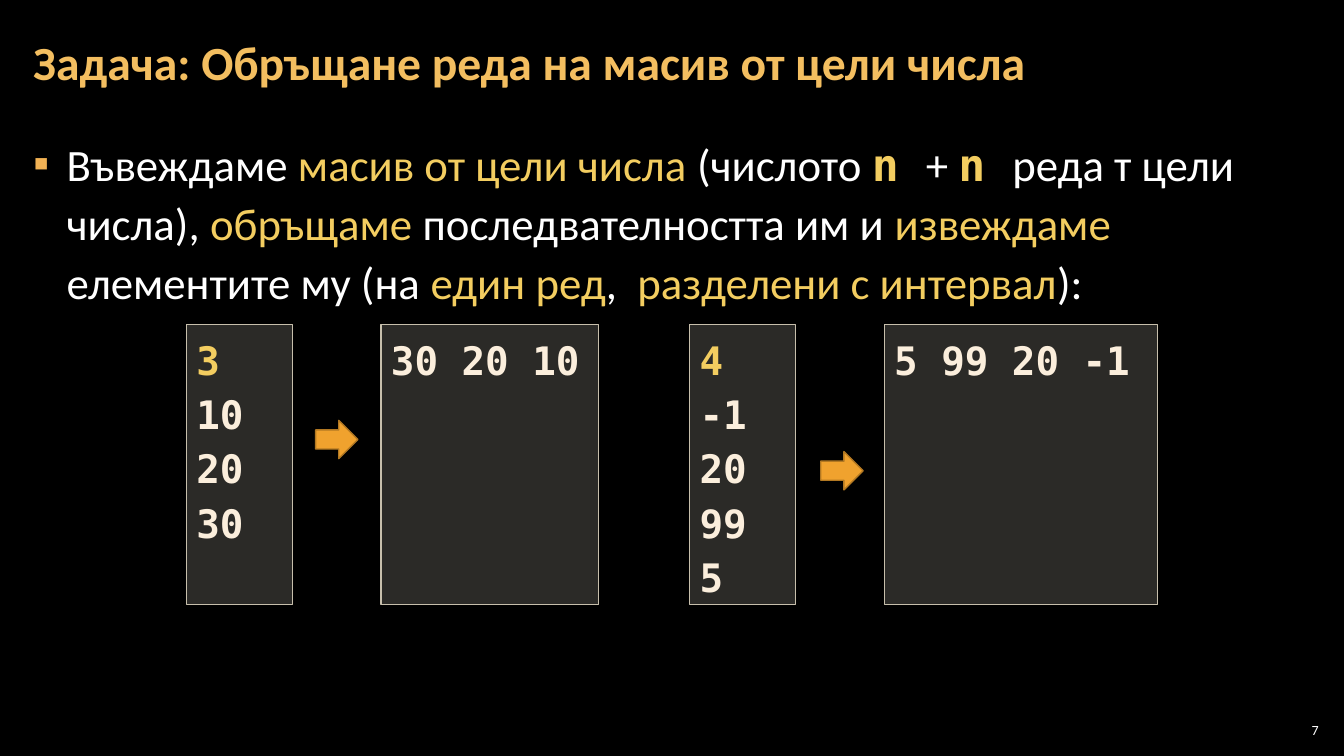
from lxml import etree
from pptx import Presentation
from pptx.dml.color import RGBColor
from pptx.enum.shapes import MSO_SHAPE
from pptx.enum.text import MSO_ANCHOR, PP_ALIGN
from pptx.oxml.ns import qn
from pptx.util import Inches, Pt

RECTANGLE, RIGHT_ARROW = MSO_SHAPE.RECTANGLE, MSO_SHAPE.RIGHT_ARROW
TOP, MIDDLE = MSO_ANCHOR.TOP, MSO_ANCHOR.MIDDLE
LEFT, RIGHT = PP_ALIGN.LEFT, PP_ALIGN.RIGHT

COLORS = {
    "background": "000000", "title": "F3BE60", "text": "FFFFFF",
    "highlight": "F3CD60", "bullet": "F2B254", "code": "FBEEDC",
    "panel": "D9D5C7", "panel_line": "C7BFAC",
    "arrow": "F0A22E", "arrow_line": "B27822",
}
SANS, MONO = "Calibri", "DejaVu Sans Mono"

TASK = [
    ("Въвеждаме ", "text"), ("масив от цели числа", "highlight"),
    (" (числото ", "text"), ("n ", "variable"), ("+ ", "text"),
    ("n ", "variable"), ("реда т цели числа), ", "text"),
    ("обръщаме ", "highlight"), ("последвателността им и ", "text"),
    ("извеждаме ", "highlight"), ("елементите му (на ", "text"),
    ("един ред", "highlight"), (",  ", "text"),
    ("разделени с интервал", "highlight"), ("):", "text"),
]

# Left edge, input lines, output line, output width, arrow left and top in the example
EXAMPLES = [
    (1.85, ["3", "10", "20", "30"], "30 20 10", 2.16, 1.28, 0.95),
    (6.84, ["4", "-1", "20", "99", "5"], "5 99 20 -1", 2.71, 1.3, 1.26),
]
EXAMPLE_TOP, PANEL_HEIGHT = 3.22, 2.78
INPUT_WIDTH, OUTPUT_OFFSET = 1.05, 1.93


def rgb(name):
    return RGBColor.from_string(COLORS[name])


def set_font(font, size, color, name=SANS, bold=False):
    font.size, font.name, font.bold = Pt(size), name, bold
    font.color.rgb = rgb(color)


def add_text_frame(slide, box, side_inset, anchor):
    frame = slide.shapes.add_textbox(*map(Inches, box)).text_frame
    frame.word_wrap = True
    frame.vertical_anchor = anchor
    frame.margin_left = frame.margin_right = Inches(side_inset)
    frame.margin_top = frame.margin_bottom = Inches(0.04)
    return frame


def add_figure(slide, kind, box, fill, line):
    figure = slide.shapes.add_shape(kind, *map(Inches, box))
    figure.shadow.inherit = False
    figure.fill.solid()
    figure.fill.fore_color.rgb = rgb(fill)
    figure.line.color.rgb = rgb(line)
    figure.line.width = Pt(1)
    return figure


def add_title(slide, box):
    title = add_text_frame(slide, box, 0.12, MIDDLE).paragraphs[0]
    title.text = "Задача: Обръщане реда на масив от цели числа"
    title.line_spacing = 0.9
    set_font(title.font, 34, "title", bold=True)


def add_task(slide, box):
    task = add_text_frame(slide, box, 0.12, TOP).paragraphs[0]
    task.line_spacing = 1.1
    task.space_before = task.space_after = Pt(6)
    for text, role in TASK:
        run = task.add_run()
        run.text = text
        if role == "variable":
            set_font(run.font, 32, "highlight", MONO, True)
        else:
            set_font(run.font, 32, role)

    # Square bullet with a hanging indent
    properties = task._p.get_or_add_pPr()
    properties.set("marL", str(Inches(0.33)))
    properties.set("indent", str(Inches(-0.33)))
    bullet_color = etree.SubElement(properties, qn("a:buClr"))
    etree.SubElement(bullet_color, qn("a:srgbClr"), val=COLORS["bullet"])
    etree.SubElement(properties, qn("a:buFont"), typeface=SANS)
    etree.SubElement(properties, qn("a:buChar"), char="▪")


def add_panel(slide, box, lines, colors):
    panel = add_figure(slide, RECTANGLE, box, "panel", "panel_line")
    # 20 % opaque fill
    fill_color = panel.fill._xPr.find(qn("a:solidFill"))[0]
    etree.SubElement(fill_color, qn("a:alpha"), val="20000")
    frame = panel.text_frame
    frame.word_wrap = True
    frame.vertical_anchor = TOP
    frame.text = "\n".join(lines)
    for paragraph, color in zip(frame.paragraphs, colors):
        paragraph.alignment = LEFT
        paragraph.line_spacing = 1.15
        set_font(paragraph.font, 28, color, MONO, True)


def add_example(slide, left, top, numbers, result, result_width, arrow_left, arrow_top):
    add_panel(slide, (left, top, INPUT_WIDTH, PANEL_HEIGHT), numbers,
              ["highlight"] + ["code"] * (len(numbers) - 1))
    add_panel(slide, (left + OUTPUT_OFFSET, top, result_width, PANEL_HEIGHT),
              [result], ["code"])
    add_figure(slide, RIGHT_ARROW, (left + arrow_left, top + arrow_top, 0.42, 0.38),
               "arrow", "arrow_line")


def add_slide_number(slide, box):
    number = add_text_frame(slide, box, 0.04, MIDDLE).paragraphs[0]
    number.text = "7"
    number.alignment = RIGHT
    set_font(number.font, 10, "text")


def main():
    deck = Presentation()
    deck.slide_width, deck.slide_height = Inches(13.33), Inches(7.5)
    slide = deck.slides.add_slide(deck.slide_layouts[6])
    slide.background.fill.solid()
    slide.background.fill.fore_color.rgb = rgb("background")

    add_slide_number(slide, (12.65, 7.14, 0.47, 0.21))
    add_task(slide, (0.21, 1.26, 12.91, 6.09))
    add_title(slide, (0.21, 0.04, 10.47, 1.21))
    for left, *example in EXAMPLES:
        add_example(slide, left, EXAMPLE_TOP, *example)
    deck.save("out.pptx")


if __name__ == "__main__":
    main()
